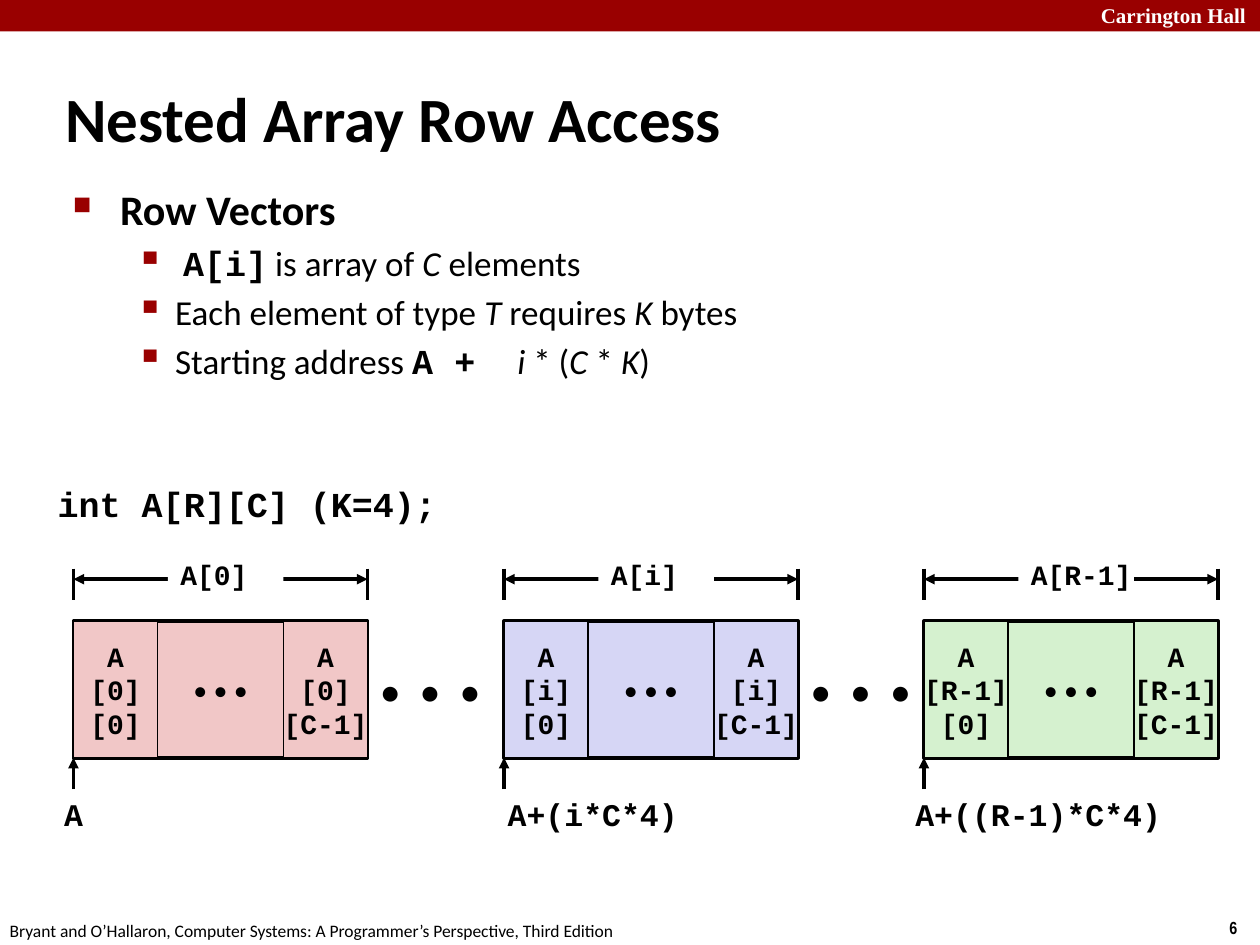
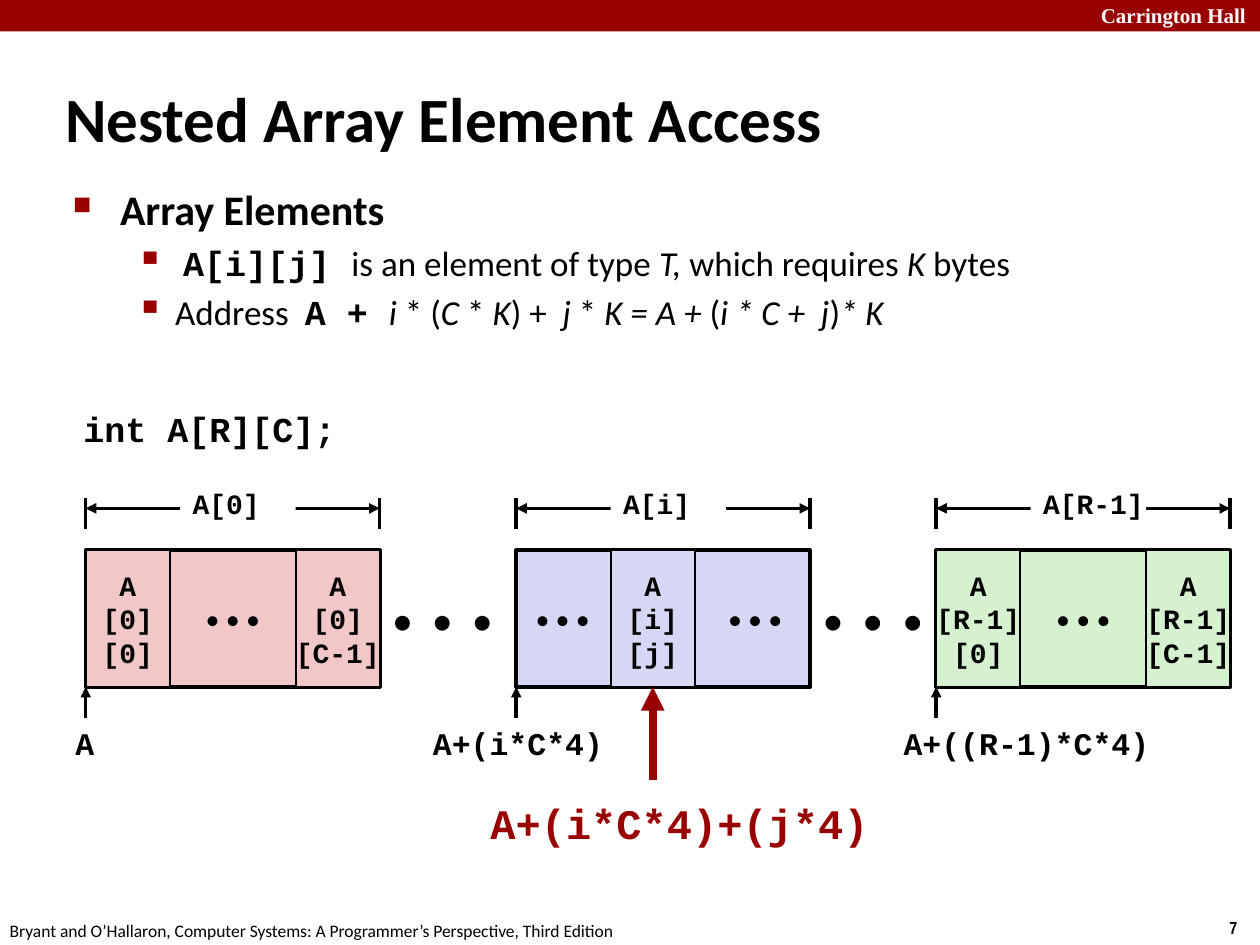
"""Builds two slides on row and element access in nested arrays."""
import pptx
import pptx.dml.color
import pptx.enum.shapes
import pptx.enum.text
import pptx.oxml.ns
import pptx.util
from lxml import etree

Pt = pptx.util.Pt
RGBColor = pptx.dml.color.RGBColor
qn = pptx.oxml.ns.qn
PP_ALIGN = pptx.enum.text.PP_ALIGN
MSO_ANCHOR = pptx.enum.text.MSO_ANCHOR
MSO_AUTO_SIZE = pptx.enum.text.MSO_AUTO_SIZE

BLACK = RGBColor(0x00, 0x00, 0x00)
WHITE = RGBColor(0xFF, 0xFF, 0xFF)
RED = RGBColor(0x99, 0x00, 0x00)
PINK = RGBColor(0xF1, 0xC7, 0xC7)
LAVENDER = RGBColor(0xD6, 0xD6, 0xF5)
GREEN = RGBColor(0xD5, 0xF1, 0xCF)

BODY_FONT = "Calibri"
CODE_FONT = "Courier New"
CELL_DOTS = "• • •"
ROW_DOTS = "•  •  •"
ROW_WIDTH, ROW_HEIGHT, CELL_WIDTH = 168, 78, 48
RIGHT_CELL = ROW_WIDTH - CELL_WIDTH


def add_box(slide, place, lines, size, font=CODE_FONT, color=BLACK, bold=True,
            align=PP_ALIGN.LEFT, wrap=False, fill=None, border=None):
    """Adds a text box, or a rectangle with centred rows when a fill is given."""
    place = [Pt(value) for value in place]
    if fill is None:
        shape = slide.shapes.add_textbox(*place)
        shape.text_frame.auto_size = MSO_AUTO_SIZE.SHAPE_TO_FIT_TEXT
    else:
        shape = slide.shapes.add_shape(pptx.enum.shapes.MSO_SHAPE.RECTANGLE, *place)
        shape.shadow.inherit = False
        shape.fill.solid()
        shape.fill.fore_color.rgb = fill
        shape.text_frame.vertical_anchor = MSO_ANCHOR.MIDDLE
        if border is None:
            shape.line.fill.background()
        else:
            shape.line.color.rgb = BLACK
            shape.line.width = Pt(border)
    frame = shape.text_frame
    frame.word_wrap = wrap
    for index, line in enumerate(lines):
        paragraph = frame.add_paragraph() if index else frame.paragraphs[0]
        paragraph.alignment = align
        run = paragraph.add_run()
        run.text = line
        run.font.size = Pt(size)
        run.font.name = font
        run.font.bold = bold
        run.font.color.rgb = color
    return shape


def add_line(slide, start, end, arrows=(), color=BLACK, width=2):
    """Adds a straight line with triangles at the named ends."""
    line = slide.shapes.add_connector(
        pptx.enum.shapes.MSO_CONNECTOR.STRAIGHT, *[Pt(value) for value in (*start, *end)])
    line.line.color.rgb = color
    line.line.width = Pt(width)
    for arrow in arrows:
        etree.SubElement(line.line._get_or_add_ln(), qn("a:" + arrow), type="triangle")
    etree.SubElement(line._element.spPr, qn("a:effectLst"))


STANDARD_CELLS = [(0, "0"), (RIGHT_CELL, "C-1")]
SLIDES = [
    {
        "number": "6",
        "title": "Nested Array Row Access",
        "body_width": 469.5,
        "heading": "Row Vectors",
        "bullets": [
            [("", " "), ("code", "A[i]"), ("", " is array of "), ("italic", "C"), ("", " elements")],
            [("", "Each element of type "), ("italic", "T "), ("", "requires "),
             ("italic", "K "), ("", "bytes")],
            [("", "Starting address "), ("code", "A +  "), ("italic", "i"), ("", " * ("),
             ("italic", "C "), ("", "* "), ("italic", "K"), ("", ")")],
        ],
        "declaration": ("int A[R][C] (K=4);", (24, 272, 232.5, 31.5)),
        "left": 42,
        "top": 355,
        "middle_cells": STANDARD_CELLS,
        "middle_dots": CELL_DOTS,
        "addresses": [(26.5, 31, PP_ALIGN.CENTER), (283, 142.5, PP_ALIGN.LEFT),
                      (516, 180, PP_ALIGN.LEFT)],
    },
    {
        "number": "7",
        "title": "Nested Array Element Access",
        "body_width": 613.5,
        "heading": "Array Elements",
        "bullets": [
            [("", " "), ("code", "A[i][j] "), ("", "is an element of type "), ("italic", "T, "),
             ("", "which requires "), ("italic", "K"), ("", " bytes")],
            [("", "Address  "), ("code", "A + "), ("italic", "i "), ("", "* ("), ("italic", "C "),
             ("", "* "), ("italic", "K"), ("", ") +  "), ("italic", "j"), ("", " * "),
             ("italic", "K = A + "), ("", "("), ("italic", "i * C +  j"), ("", ")"),
             ("italic", "* K")],
        ],
        "declaration": ("int A[R][C];", (40.5, 229.5, 158.5, 31)),
        "left": 49,
        "top": 314.5,
        "middle_cells": [(54, "j")],
        "middle_dots": CELL_DOTS + "\t" + CELL_DOTS,
        "addresses": [(33, 31, PP_ALIGN.CENTER), (239, 114, PP_ALIGN.CENTER),
                      (505.5, 162, PP_ALIGN.CENTER)],
    },
]

presentation = pptx.Presentation()
presentation.slide_width, presentation.slide_height = Pt(720), Pt(540)

for content in SLIDES:
    slide = presentation.slides.add_slide(presentation.slide_layouts[5])

    add_box(slide, (0, 0, 720, 18), [], 12, fill=RED)
    add_box(slide, (622, -2, 103, 21.5), ["Carrington Hall"], 12, "Times New Roman", WHITE,
            wrap=True)
    add_box(slide, (695.5, 520.5, 24.5, 19.5), [content["number"]], 10, "Arial Narrow")
    add_box(slide, (-1.5, 522, 366, 19.5),
            ["Bryant and O’Hallaron, Computer Systems: A Programmer’s Perspective, Third Edition"],
            10, BODY_FONT, bold=False)

    title = slide.shapes.title
    title.left, title.top, title.width, title.height = Pt(30), Pt(44.5), Pt(546), Pt(45.5)
    title.text_frame.auto_size = MSO_AUTO_SIZE.NONE
    title.text_frame.vertical_anchor = MSO_ANCHOR.MIDDLE
    paragraph = title.text_frame.paragraphs[0]
    paragraph.alignment = PP_ALIGN.LEFT
    run = paragraph.add_run()
    run.text = content["title"]
    run.font.size, run.font.name, run.font.bold = Pt(36), BODY_FONT, True
    run.font.color.rgb = BLACK

    body = slide.shapes.add_textbox(Pt(34.5), Pt(101.5), Pt(content["body_width"]), Pt(114.5))
    body.text_frame.word_wrap = True
    for index, runs in enumerate([[("heading", content["heading"])], *content["bullets"]]):
        paragraph = body.text_frame.add_paragraph() if index else body.text_frame.paragraphs[0]
        paragraph.level = 1 if index else 0
        margin, hanging, size, bullet, bullet_size = (
            (58.5, 22.5, 20, "▪", 110) if index else (27, 27, 24, "■", 60))
        paragraph.space_before = Pt(size * 0.2)
        properties = paragraph._p.get_or_add_pPr()
        properties.set("marL", str(Pt(margin)))
        properties.set("indent", str(-Pt(hanging)))
        bullet_color = etree.SubElement(properties, qn("a:buClr"))
        etree.SubElement(bullet_color, qn("a:srgbClr"), val=str(RED))
        etree.SubElement(properties, qn("a:buSzPct"), val=str(bullet_size * 1000))
        etree.SubElement(properties, qn("a:buChar"), char=bullet)
        for style, text in runs:
            run = paragraph.add_run()
            run.text = text
            run.font.size = Pt(size)
            run.font.name = CODE_FONT if style == "code" else BODY_FONT
            run.font.bold = style in ("code", "heading")
            run.font.italic = style == "italic"
            run.font.color.rgb = BLACK

    declaration, place = content["declaration"]
    add_box(slide, place, [declaration], 20, align=PP_ALIGN.RIGHT)

    top = content["top"]
    lefts = [content["left"] + offset for offset in (0, 246, 486)]
    for left in lefts[:2]:
        add_box(slide, (left + ROW_WIDTH, top, 78, ROW_HEIGHT), [ROW_DOTS], 24, BODY_FONT,
                bold=False, fill=WHITE)

    rows = [
        ("0", PINK, STANDARD_CELLS, CELL_DOTS, "A"),
        ("i", LAVENDER, content["middle_cells"], content["middle_dots"], "A+(i*C*4)"),
        ("R-1", GREEN, STANDARD_CELLS, CELL_DOTS, "A+((R-1)*C*4)"),
    ]
    for left, row, address_box in zip(lefts, rows, content["addresses"]):
        row_index, fill, cells, dots, address = row
        right = left + ROW_WIDTH
        split = "\t" in dots
        bar = add_box(slide, (left, top, ROW_WIDTH, ROW_HEIGHT), [dots], 16, BODY_FONT,
                      bold=False, align=PP_ALIGN.LEFT if split else PP_ALIGN.CENTER,
                      fill=fill, border=2.25)
        if split:
            bar.text_frame.margin_left = Pt(11)
            properties = bar.text_frame.paragraphs[0]._p.get_or_add_pPr()
            tabs = etree.SubElement(properties, qn("a:tabLst"))
            etree.SubElement(tabs, qn("a:tab"), pos=str(Pt(110)), algn="l")
        for offset, column in cells:
            add_box(slide, (left + offset, top, CELL_WIDTH, ROW_HEIGHT),
                    ["A", f"[{row_index}]", f"[{column}]"], 16, align=PP_ALIGN.CENTER,
                    fill=fill, border=1)

        for edge in (left, right):
            add_line(slide, (edge, top - 30), (edge, top - 12))
        add_line(slide, (left, top - 24), (right, top - 24), ("headEnd", "tailEnd"))
        add_box(slide, (left + 54, top - 42, 66, 30), [f"A[{row_index}]"], 16, fill=WHITE)

        add_line(slide, (left, top + 96), (left, top + ROW_HEIGHT), ("tailEnd",))
        address_left, address_width, align = address_box
        add_box(slide, (address_left, top + 95.5, address_width, 29), [address], 18,
                align=align, wrap=True)

add_line(slide, (373, 445.5), (373, 392.5), ("tailEnd",), RED, 4.5)
add_box(slide, (272, 452, 232.5, 36), ["A+(i*C*4)+(j*4)"], 24, color=RED,
        align=PP_ALIGN.CENTER, wrap=True)

presentation.save("out.pptx")
